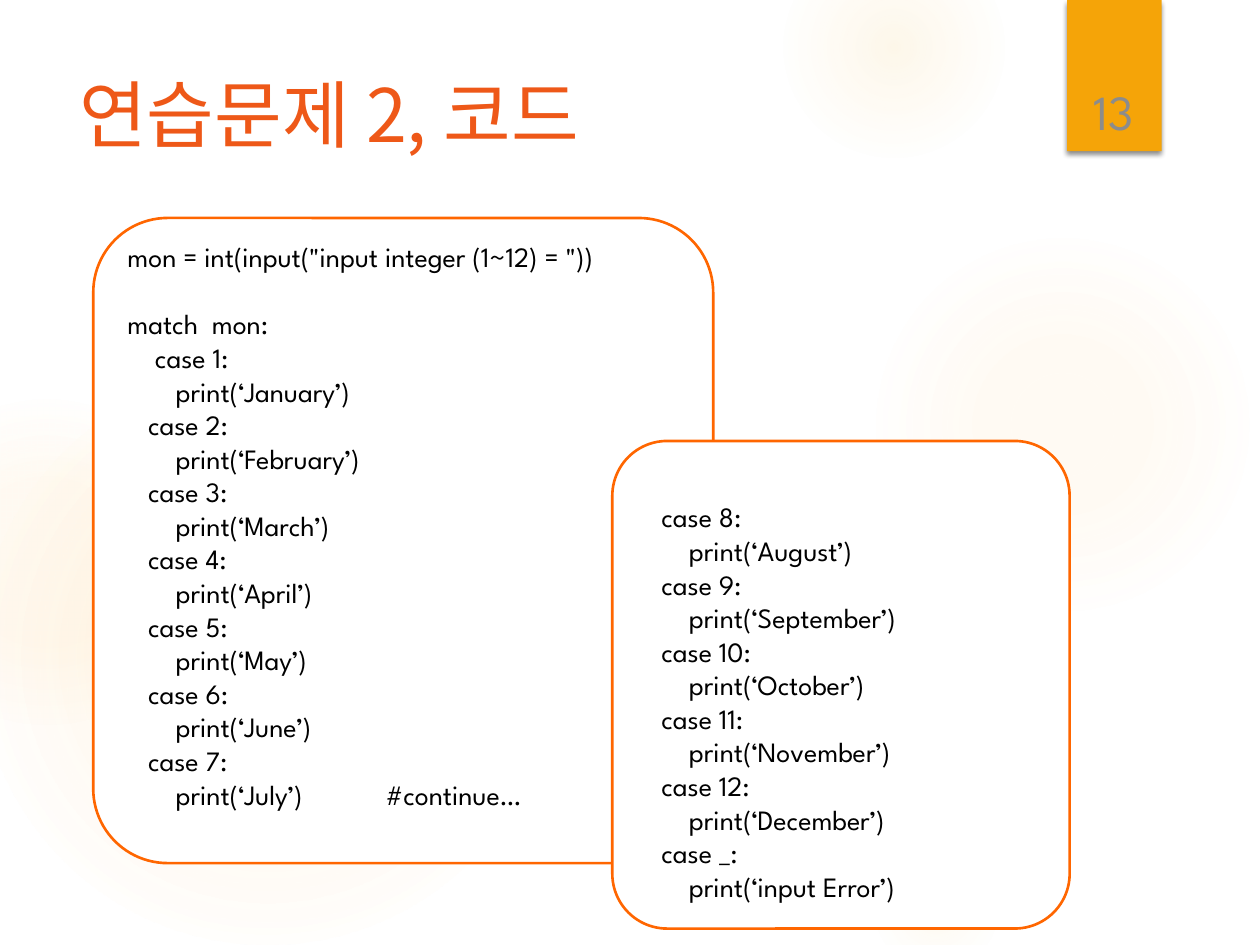
from dataclasses import dataclass

from lxml import etree
from pptx import Presentation
from pptx import util as u
from pptx.dml.color import RGBColor
from pptx.enum import shapes, text
from pptx.oxml import parse_xml
from pptx.oxml.ns import nsdecls, qn


@dataclass(frozen=True)
class Theme:
    """Colours, fonts and type sizes of the slide."""
    glow: str = "FAC96A"
    tab: str = "F5A408"
    title: str = "EE5818"
    number: str = "8C8C8C"
    frame: str = "FF6600"
    paper: str = "FFFFFF"
    ink: str = "000000"
    latin: str = "League Spartan"
    korean: str = "Noto Sans CJK KR"
    title_size: float = 42
    number_size: float = 28
    code_size: float = 16
    code_pitch: float = 19.2


T = Theme()
COLS, ROWS = 100, 75
WIDTH, HEIGHT = u.Inches(10), u.Inches(7.5)

GLOWS = [
    ((68.9, 18.3, 30.8, 30.8), ((0, 7), (36, 6), (69, 0))),
    ((62.2, -5, 17.5, 17.5), ((0, 14), (36, 7), (73, 0))),
    ((68.9, 66.7, 10.8, 10.8), ((0, 10), (31, 5), (66, 0))),
    ((-1.7, 29.2, 45.8, 45.8), ((0, 11), (36, 10), (75, 0))),
    ((-9.2, 31.7, 25.8, 25.8), ((0, 8), (36, 8), (72, 0))),
]
FIRST_MONTHS = ["January", "February", "March", "April", "May", "June", "July"]
LAST_MONTHS = ["August", "September", "October", "November", "December"]


def cell(x, y, w, h):
    """Turn grid columns and rows into slide lengths."""
    cw, rh = WIDTH / COLS, HEIGHT / ROWS
    return [u.Emu(round(v)) for v in (x * cw, y * rh, w * cw, h * rh)]


def add_block(s, kind, box, fill=None, line=None):
    """Add a preset shape with a plain fill and outline."""
    sp = s.shapes.add_shape(kind, *cell(*box))
    sp.shadow.inherit = False
    if fill:
        sp.fill.solid()
        sp.fill.fore_color.rgb = RGBColor.from_string(fill)
    if line:
        sp.line.color.rgb = RGBColor.from_string(line)
        sp.line.width = u.Pt(1.5)
    else:
        sp.line.fill.background()
    return sp


def add_glow(s, box, stops):
    """Add a round glow that fades from its centre."""
    sp = add_block(s, shapes.MSO_SHAPE.OVAL, box)
    gs = "".join(
        f'<a:gs pos="{pos * 1000}"><a:srgbClr val="{T.glow}">'
        f'<a:alpha val="{alpha * 1000}"/></a:srgbClr></a:gs>'
        for pos, alpha in stops)
    grad = parse_xml(
        f'<a:gradFill {nsdecls("a")} rotWithShape="1"><a:gsLst>{gs}</a:gsLst>'
        '<a:path path="circle"><a:fillToRect l="50000" t="50000" r="50000" b="50000"/>'
        '</a:path></a:gradFill>')
    sp._element.spPr.find(qn("a:prstGeom")).addnext(grad)


def add_page_tab(s, box):
    """Add the coloured tab with its soft shadow."""
    sp = add_block(s, shapes.MSO_SHAPE.RECTANGLE, box, T.tab)
    effects = sp._element.spPr.find(qn("a:effectLst"))
    effects.append(parse_xml(
        f'<a:outerShdw {nsdecls("a")} blurRad="{u.Pt(3)}" dist="{u.Pt(2)}" dir="5400000" '
        'algn="t" rotWithShape="0"><a:srgbClr val="000000"><a:alpha val="45000"/>'
        '</a:srgbClr></a:outerShdw>'))


def add_run(p, words, size, color, font):
    """Add one run, with its font set for Latin and Korean letters."""
    r = p.add_run()
    r.text = words
    r.font.size = u.Pt(size)
    r.font.color.rgb = RGBColor.from_string(color)
    r.font.name = font
    etree.SubElement(r.font._element, qn("a:ea")).set("typeface", font)


def add_label(s, box, words, size, color, font, anchor, align):
    """Add a text box with a single line."""
    tf = s.shapes.add_textbox(*cell(*box)).text_frame
    tf.word_wrap = True
    tf.vertical_anchor = anchor
    p = tf.paragraphs[0]
    p.alignment = align
    add_run(p, words, size, color, font)


def add_code(s, box, lines, top, gaps=(), tab=None):
    """Add a rounded frame of code, with a blank line's space before each gap."""
    sp = add_block(s, shapes.MSO_SHAPE.ROUNDED_RECTANGLE, box, T.paper, T.frame)
    sp.adjustments[0] = 0.12
    tf = sp.text_frame
    tf.word_wrap = False
    tf.vertical_anchor = text.MSO_ANCHOR.TOP
    tf.margin_top = u.Inches(top)
    for i, line in enumerate(lines):
        p = tf.paragraphs[0] if i == 0 else tf.add_paragraph()
        p.alignment = text.PP_ALIGN.LEFT
        p.line_spacing = u.Pt(T.code_pitch)
        if i in gaps:
            p.space_before = u.Pt(T.code_pitch)
        if tab and "\t" in line:
            tabs = etree.SubElement(p._p.get_or_add_pPr(), qn("a:tabLst"))
            etree.SubElement(tabs, qn("a:tab"), pos=str(u.Inches(tab)), algn="l")
        add_run(p, line, T.code_size, T.ink, T.latin)


def case(label, words, indent=3):
    """Return the two code lines of one case."""
    return [" " * indent + f"case {label}:", " " * 7 + f"print(‘{words}’)"]


def main():
    """Build the slide and save it."""
    prs = Presentation()
    prs.slide_width, prs.slide_height = WIDTH, HEIGHT
    s = prs.slides.add_slide(prs.slide_layouts[6])
    for box, stops in GLOWS:
        add_glow(s, box, stops)
    add_page_tab(s, (84.7, 0, 7.5, 12))
    add_label(s, (5.3, 5, 77.2, 15.3), "연습문제 2, 코드", T.title_size, T.title,
              T.korean, text.MSO_ANCHOR.TOP, text.PP_ALIGN.LEFT)
    add_label(s, (84.9, 3.2, 6.9, 8.4), "13", T.number_size, T.number,
              T.latin, text.MSO_ANCHOR.BOTTOM, text.PP_ALIGN.CENTER)

    first = ['mon = int(input("input integer (1~12) = "))', "match  mon:"]
    for n, month in enumerate(FIRST_MONTHS, 1):
        first += case(n, month, 4 if n == 1 else 3)
    first[-1] += "\t#continue…"
    last = []
    for n, month in enumerate(LAST_MONTHS, len(FIRST_MONTHS) + 1):
        last += case(n, month)
    last += case("_", "input Error")
    add_code(s, (7.4, 17.3, 49.2, 51.2), first, 0, gaps=(1,), tab=2.05)
    add_code(s, (48.6, 35, 36.3, 38.7), last, 0.34)
    prs.save("out.pptx")


if __name__ == "__main__":
    main()
